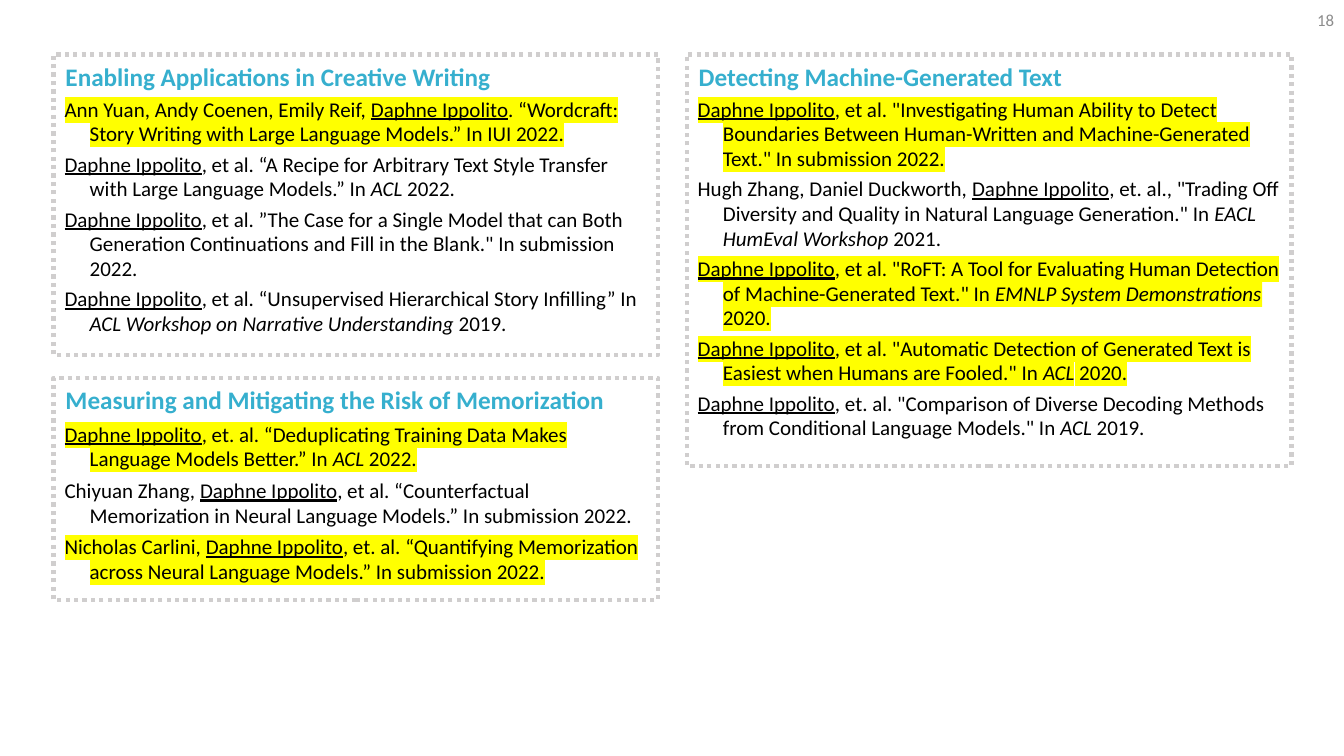
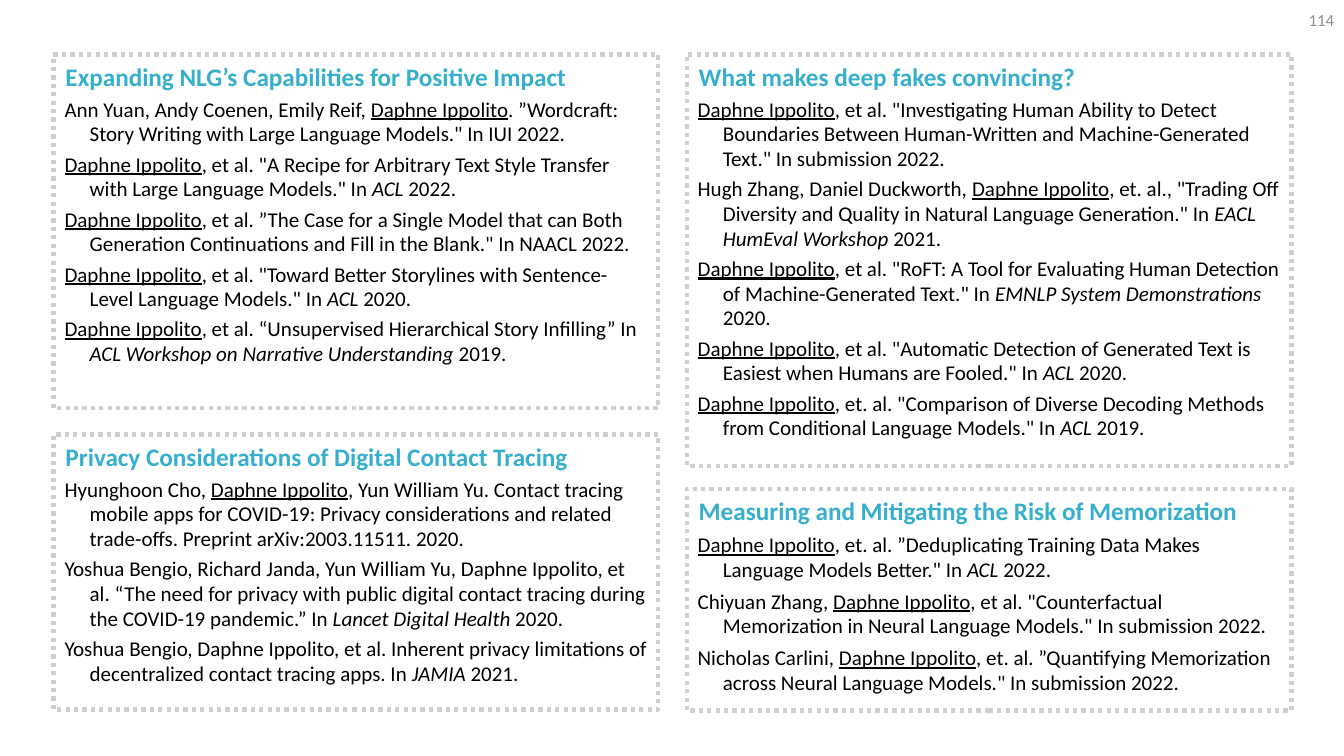
from lxml.etree import SubElement
from pptx import Presentation
from pptx.dml.color import RGBColor
from pptx.enum.dml import MSO_LINE
from pptx.enum.text import MSO_ANCHOR, MSO_AUTO_SIZE, PP_ALIGN
from pptx.oxml.ns import qn
from pptx.util import Inches, Pt

BLACK = RGBColor(0x00, 0x00, 0x00)
TEAL = RGBColor(0x36, 0xAF, 0xCE)
SILVER = RGBColor(0xD0, 0xCE, 0xCE)
GRAY = RGBColor(0x8C, 0x8C, 0x8C)
YELLOW = RGBColor(0xFF, 0xFF, 0x00)
FONT = "Calibri"
LEFT, RIGHT, TOP, WIDTH = 0.53, 6.81, 0.54, 6

STORY = "_Daphne Ippolito_, et al. “Unsupervised Hierarchical Story Infilling” In *ACL Workshop on Narrative Understanding* 2019."
RISK = "Measuring and Mitigating the Risk of Memorization"
DETECT = [
    '_Daphne Ippolito_, et al. "Investigating Human Ability to Detect Boundaries Between Human-Written and Machine-Generated Text." In submission 2022.',
    'Hugh Zhang, Daniel Duckworth, _Daphne Ippolito_, et. al., "Trading Off Diversity and Quality in Natural Language Generation." In *EACL HumEval Workshop* 2021.',
    '_Daphne Ippolito_, et al. "RoFT: A Tool for Evaluating Human Detection of Machine-Generated Text." In *EMNLP System Demonstrations* 2020.',
    '_Daphne Ippolito_, et al. "Automatic Detection of Generated Text is Easiest when Humans are Fooled." In *ACL* 2020.',
    '_Daphne Ippolito_, et. al. "Comparison of Diverse Decoding Methods from Conditional Language Models." In *ACL* 2019.',
]

WRITE = [
    "Ann Yuan, Andy Coenen, Emily Reif, _Daphne Ippolito_. “Wordcraft: Story Writing with Large Language Models.” In IUI 2022.",
    "_Daphne Ippolito_, et al. “A Recipe for Arbitrary Text Style Transfer with Large Language Models.” In *ACL* 2022.",
    '_Daphne Ippolito_, et al. ”The Case for a Single Model that can Both Generation Continuations and Fill in the Blank." In submission 2022.',
    STORY,
]
MEMORY = [
    "_Daphne Ippolito_, et. al. “Deduplicating Training Data Makes Language Models Better.” In *ACL* 2022.",
    "Chiyuan Zhang, _Daphne Ippolito_, et al. “Counterfactual Memorization in Neural Language Models.” In submission 2022.",
    "Nicholas Carlini, _Daphne Ippolito_, et. al. “Quantifying Memorization across Neural Language Models.” In submission 2022.",
]

IMPACT = [
    'Ann Yuan, Andy Coenen, Emily Reif, _Daphne Ippolito_. ”Wordcraft: Story Writing with Large Language Models." In IUI 2022.',
    '_Daphne Ippolito_, et al. "A Recipe for Arbitrary Text Style Transfer with Large Language Models." In *ACL* 2022.',
    '_Daphne Ippolito_, et al. ”The Case for a Single Model that can Both Generation Continuations and Fill in the Blank." In NAACL 2022.',
    '_Daphne Ippolito_, et al. "Toward Better Storylines with Sentence-Level Language Models." In *ACL* 2020.',
    STORY,
]
TRACE = [
    "Hyunghoon Cho, _Daphne Ippolito_, Yun William Yu. Contact tracing mobile apps for COVID-19: Privacy considerations and related trade-offs. Preprint arXiv:2003.11511. 2020.",
    "Yoshua Bengio, Richard Janda, Yun William Yu, Daphne Ippolito, et al. “The need for privacy with public digital contact tracing during the COVID-19 pandemic.” In *Lancet Digital Health* 2020.",
    "Yoshua Bengio, Daphne Ippolito, et al. Inherent privacy limitations of decentralized contact tracing apps. In *JAMIA* 2021.",
]
LATER = [
    '_Daphne Ippolito_, et. al. ”Deduplicating Training Data Makes Language Models Better." In *ACL* 2022.',
    'Chiyuan Zhang, _Daphne Ippolito_, et al. "Counterfactual Memorization in Neural Language Models." In submission 2022.',
    'Nicholas Carlini, _Daphne Ippolito_, et. al. ”Quantifying Memorization across Neural Language Models." In submission 2022.',
]

PAGES = [
    ("18", [
        ("Enabling Applications in Creative Writing", LEFT, TOP, 2.98, 4, WRITE, [0]),
        (RISK, LEFT, 3.75, 2.2, 5, MEMORY, [0, 2]),
        ("Detecting Machine-Generated Text", RIGHT, TOP, 4.08, 4, DETECT, [0, 2, 3]),
    ]),
    ("114", [
        ("Expanding NLG’s Capabilities for Positive Impact", LEFT, TOP, 3.51, 4, IMPACT, []),
        ("Privacy Considerations of Digital Contact Tracing", LEFT, 4.31, 2.73, 4, TRACE, []),
        ("What makes deep fakes convincing?", RIGHT, TOP, 4.08, 4, DETECT, []),
        (RISK, RIGHT, 4.85, 2.2, 5, LATER, []),
    ]),
]


def style(para, margin, indent, space, before, size, color, bold):
    props = para._p.get_or_add_pPr()
    props.set("marL", str(Inches(margin)))
    props.set("indent", str(Inches(indent)))
    para.alignment = PP_ALIGN.LEFT
    para.line_spacing = space
    para.space_before = Pt(before)
    SubElement(props, qn("a:buNone"))
    font = para.font
    font.name, font.size, font.bold = FONT, Pt(size), bold
    font.color.rgb = color


def write(para, entry, marked):
    for i, chunk in enumerate(entry.split("_")):
        for j, text in enumerate(chunk.split("*")):
            if not text:
                continue
            run = para.add_run()
            run.text = text
            if i % 2:
                run.font.underline = True
            if j % 2:
                run.font.italic = True
            if marked:
                light = SubElement(run._r.get_or_add_rPr(), qn("a:highlight"))
                SubElement(light, qn("a:srgbClr"), val=str(YELLOW))


deck = Presentation()
deck.slide_width, deck.slide_height = Inches(13.33), Inches(7.5)
layout = deck.slide_layouts.get_by_name("Comparison")

for number, panels in PAGES:
    slide = deck.slides.add_slide(layout)
    title, *bodies = slide.placeholders
    for spare in [title] + bodies[len(panels):]:
        spare.element.getparent().remove(spare.element)

    label = slide.shapes.add_textbox(Inches(10.33), 0, Inches(3), Inches(0.4))
    label.text_frame.word_wrap = True
    label.text_frame.vertical_anchor = MSO_ANCHOR.MIDDLE
    para = label.text_frame.paragraphs[0]
    para.text = number
    para.alignment = PP_ALIGN.RIGHT
    para.font.name, para.font.size = FONT, Pt(12)
    para.font.color.rgb = GRAY

    for body, (head, left, top, height, gap, entries, marks) in zip(bodies, panels):
        body.left, body.top = Inches(left), Inches(top)
        body.width, body.height = Inches(WIDTH), Inches(height)
        body.fill.background()
        body.line.color.rgb = SILVER
        body.line.width = Pt(3)
        body.line.dash_style = MSO_LINE.ROUND_DOT

        frame = body.text_frame
        frame.word_wrap = True
        frame.auto_size = MSO_AUTO_SIZE.NONE
        frame.vertical_anchor = MSO_ANCHOR.TOP
        frame.margin_left = frame.margin_right = Inches(0.1)
        frame.margin_top = frame.margin_bottom = Inches(0.1)

        para = frame.paragraphs[0]
        para.text = head
        style(para, 0.51, -0.49, 0.9, 0, 18, TEAL, True)
        for index, entry in enumerate(entries):
            para = frame.add_paragraph()
            style(para, 0.26, -0.25, 0.98, gap, 15, BLACK, False)
            write(para, entry, index in marks)

deck.save("out.pptx")
